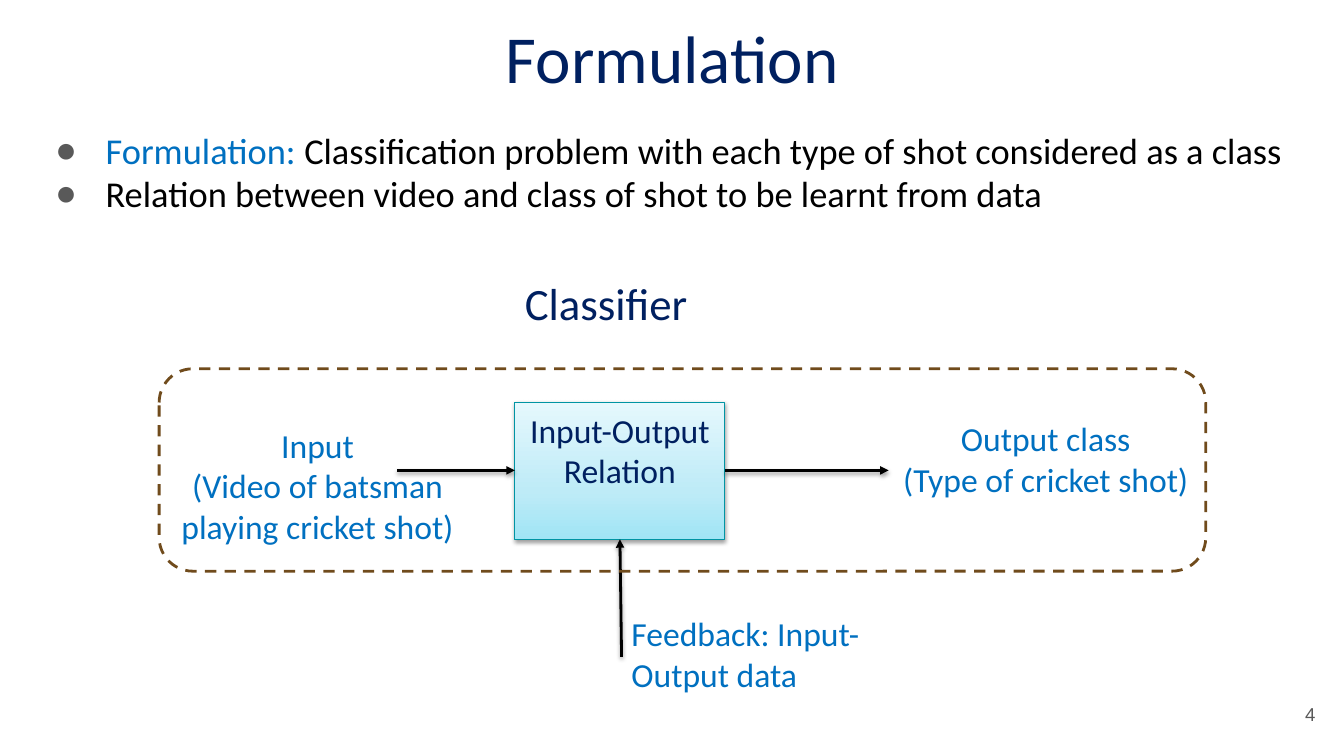
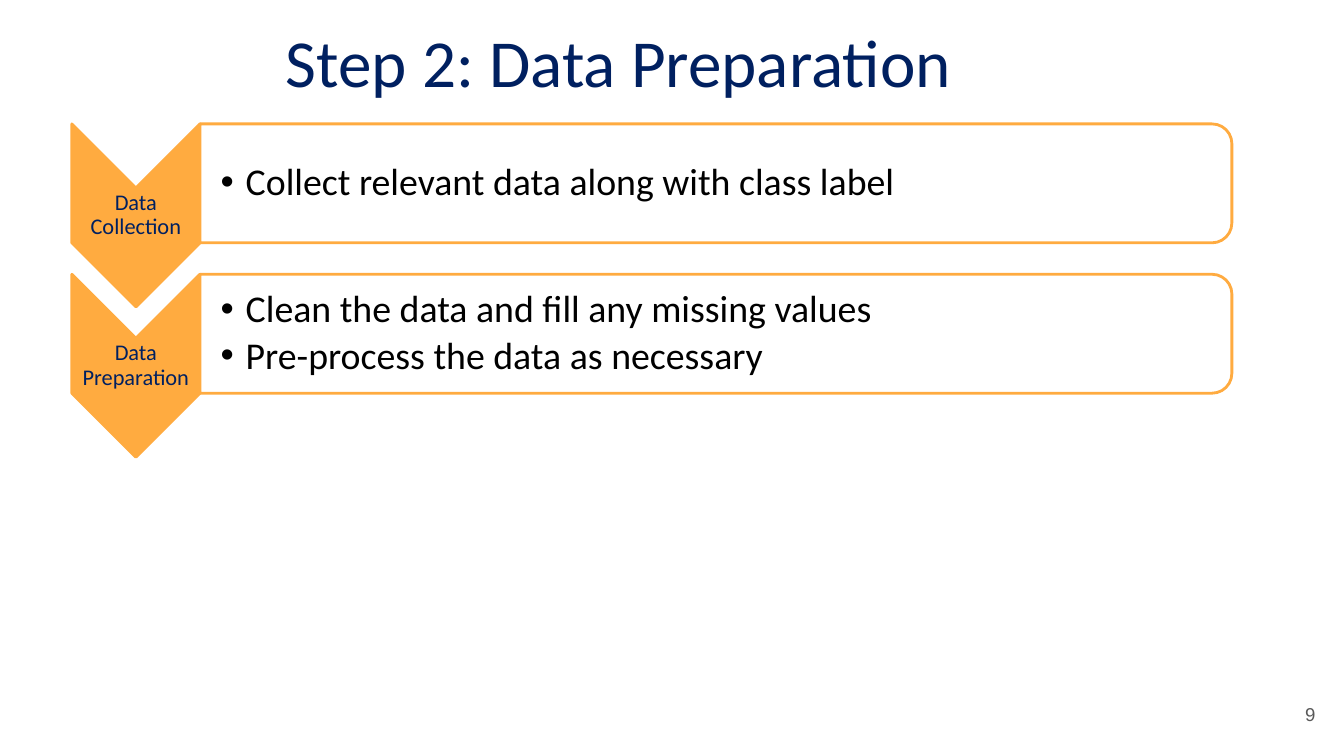
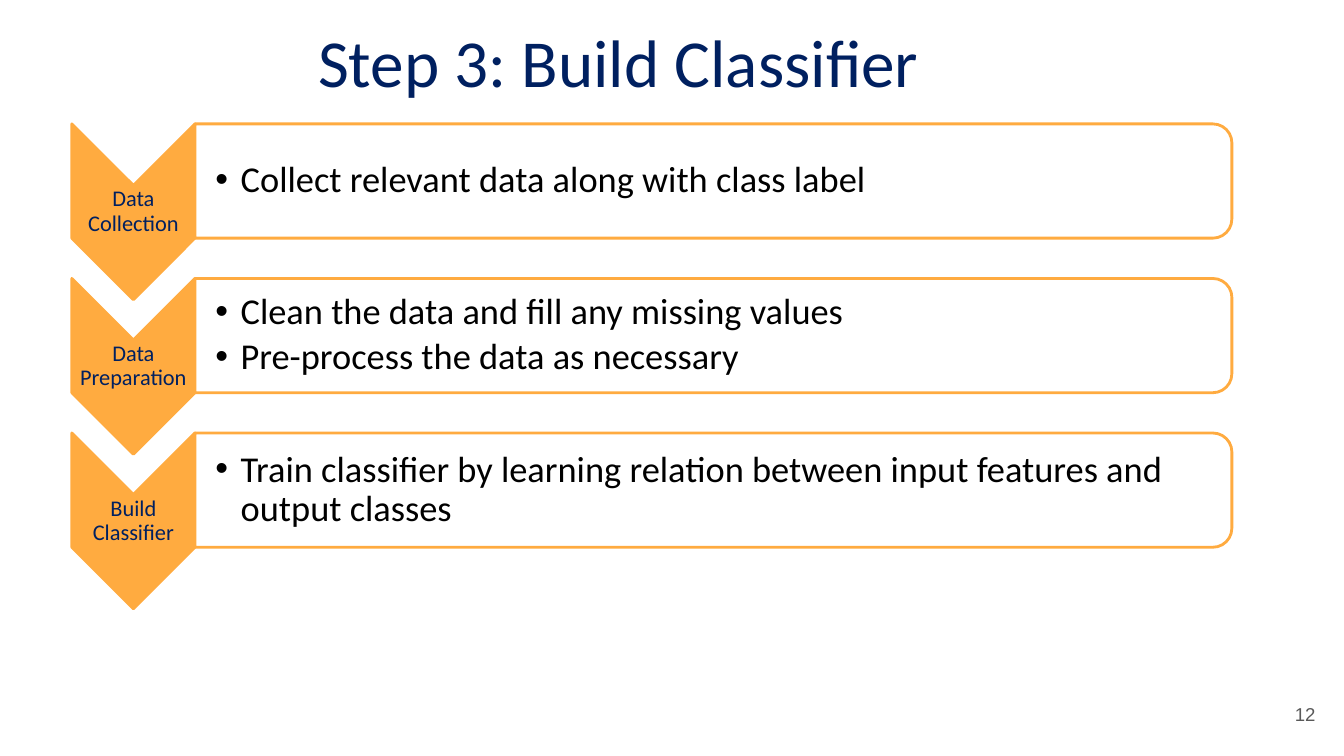
import pptx
import pptx.util
import pptx.dml.color
import pptx.enum.dml
import pptx.enum.shapes
import pptx.enum.text
import pptx.oxml
import pptx.oxml.ns
import copy
import lxml.etree

RGB = pptx.dml.color.RGBColor
SHAPE = pptx.enum.shapes.MSO_SHAPE
ALIGN = pptx.enum.text.PP_ALIGN
ANCHOR = pptx.enum.text.MSO_ANCHOR
Pt = pptx.util.Pt
qn = pptx.oxml.ns.qn

NAVY = RGB(0x00, 0x20, 0x60)
BLUE = RGB(0x00, 0x70, 0xC0)
BLACK = RGB(0x00, 0x00, 0x00)
WHITE = RGB(0xFF, 0xFF, 0xFF)
GRAY = RGB(0x59, 0x59, 0x59)
ORANGE = RGB(0xFF, 0xAB, 0x40)
BROWN = RGB(0x70, 0x4B, 0x1C)
TEAL = RGB(0x00, 0x94, 0xA3)
AQUA = RGB(0xA0, 0xE5, 0xF5)
SKY = RGB(0xBE, 0xEB, 0xF7)
PALE = RGB(0xE5, 0xF8, 0xFD)

CELL = Pt(6)
COLS, ROWS = 160, 90


def grid(*cells):
    return [pptx.util.Emu(round(cell * CELL)) for cell in cells]


def child(node, tag, **attrs):
    return lxml.etree.SubElement(node, qn(tag), attrs)


def mark(para, char, color, indent):
    props = para._p.get_or_add_pPr()
    step = grid(indent)[0]
    props.set("marL", str(step))
    props.set("indent", str(-step))
    child(child(props, "a:buClr"), "a:srgbClr", val=str(color))
    child(props, "a:buFont", typeface="Arial")
    child(props, "a:buChar", char=char)


def write(frame, text, size=24, color=BLACK, font="Calibri", align=ALIGN.LEFT,
          anchor=ANCHOR.TOP, inset=(1.2, 0.6, 1.2, 0.6), wrap=True,
          lead=None, gap=0, bullet=None, tint=BLACK, indent=0):
    frame.word_wrap = wrap
    frame.vertical_anchor = anchor
    (frame.margin_left, frame.margin_top,
     frame.margin_right, frame.margin_bottom) = grid(*inset)
    for index, line in enumerate(text):
        para = frame.add_paragraph() if index else frame.paragraphs[0]
        para.alignment = align
        if lead:
            para.line_spacing = lead
        if index and gap:
            para.space_before = Pt(gap)
        if bullet:
            mark(para, bullet, tint, indent)
        for part, shade in [(line, color)] if isinstance(line, str) else line:
            run = para.add_run()
            run.text = part
            run.font.size = Pt(size)
            run.font.name = font
            run.font.color.rgb = shade


class Deck:
    def __init__(self):
        self.file = pptx.Presentation()
        self.file.slide_width, self.file.slide_height = grid(COLS, ROWS)
        self.slide = None

    def page(self, title, number, left=19.4, top=1.8):
        self.slide = self.file.slides.add_slide(self.file.slide_layouts[6])
        self.text((148.2, 81.6, 9.6, 6.8), [number], size=13.3, color=GRAY,
                  font="Arial", align=ALIGN.RIGHT, anchor=ANCHOR.MIDDLE,
                  inset=[1.2] * 4)
        self.text((left, top, 108.5, 10.9), [title], size=48, color=NAVY,
                  align=ALIGN.CENTER)

    def text(self, box, text, **style):
        write(self.slide.shapes.add_textbox(*grid(*box)).text_frame, text, **style)

    def shape(self, kind, box, line, width=2, fill=None, turn=False):
        left, top, wide, high = box
        if turn:
            box = (left + (wide - high) / 2, top + (high - wide) / 2, high, wide)
        shape = self.slide.shapes.add_shape(kind, *grid(*box))
        shape.shadow.inherit = False
        shape.rotation = 90 if turn else 0
        shape.line.color.rgb = line
        shape.line.width = Pt(width)
        if fill is None:
            shape.fill.background()
        else:
            shape.fill.solid()
            shape.fill.fore_color.rgb = fill
        return shape

    def blend(self, shape, stops, angle):
        shape.fill.gradient()
        shape.fill.gradient_angle = angle
        nodes = shape.fill._fill._gradFill.find(qn("a:gsLst"))
        while len(nodes) < len(stops):
            nodes.append(copy.deepcopy(nodes[0]))
        for stop, (place, color) in zip(shape.fill.gradient_stops, stops):
            stop.position = place
            stop.color.rgb = color

    def shade(self, shape):
        props = shape._element.spPr
        effect = props.find(qn("a:effectLst"))
        if effect is None:
            effect = child(props, "a:effectLst")
        drop = child(effect, "a:outerShdw", blurRad=str(Pt(3.1)),
                     dist=str(Pt(1.6)), dir="5400000", rotWithShape="0")
        child(child(drop, "a:srgbClr", val=str(BLACK)), "a:alpha", val="38000")

    def arrow(self, *ends):
        line = self.slide.shapes.add_connector(
            pptx.enum.shapes.MSO_CONNECTOR.STRAIGHT, *grid(*ends))
        line.line.color.rgb = BLACK
        line.line.width = Pt(2)
        child(line.line._get_or_add_ln(), "a:tailEnd", type="triangle")
        self.shade(line)

    def steps(self, items, wide, pitch, size):
        left, top, right = 8.55, 14.75, 146.65
        tall = wide / 0.7
        high = tall * 0.65
        for index, (name, notes) in enumerate(items):
            y = top + index * pitch
            self.shape(SHAPE.CHEVRON, (left, y, wide, tall), ORANGE,
                       fill=ORANGE, turn=True)
            self.text((left, y + wide / 2, wide, tall - wide), [name], size=16,
                      color=NAVY, align=ALIGN.CENTER, anchor=ANCHOR.MIDDLE,
                      inset=[0.12] * 4, lead=0.9)
            body = (left + wide, y, right - left - wide, high)
            self.shape(SHAPE.ROUND_2_SAME_RECTANGLE, body, ORANGE,
                       fill=WHITE, turn=True)
            self.text(body, notes, size=size, anchor=ANCHOR.MIDDLE,
                      inset=(2.45, 0.2, 0.9, 0.2), lead=0.9, gap=4,
                      bullet="•", indent=3)


def main():
    deck = Deck()

    deck.page("Formulation", "4", left=25.8, top=1.3)
    deck.text((5.4, 14, 148.6, 19.8), [
        [("Formulation: ", BLUE),
         ("Classification problem with each type of shot considered as a class", BLACK)],
        "Relation between video and class of shot to be learnt from data",
    ], size=26, inset=[1.2] * 4, bullet="●", tint=GRAY, indent=6)
    deck.text((19, 50, 37.6, 15.7),
              ["Input", "(Video of batsman playing cricket shot)"],
              color=BLUE, align=ALIGN.CENTER)
    deck.text((106, 49.2, 37, 10.9), ["Output class", "(Type of cricket shot)"],
              color=BLUE, align=ALIGN.CENTER, wrap=False)
    deck.text((61.3, 32.2, 22, 7.7), ["Classifier"], size=32, color=NAVY, wrap=False)
    model = deck.shape(SHAPE.RECTANGLE, (61.3, 47.9, 25, 16.3), TEAL, width=0.75)
    deck.blend(model, [(0, AQUA), (0.35, SKY), (1, PALE)], 90)
    deck.shade(model)
    write(model.text_frame, ["Input-Output Relation"], color=NAVY,
          align=ALIGN.CENTER, inset=(1.2, 0.85, 1.2, 0.6))
    deck.arrow(47.3, 56, 61.3, 56)
    deck.arrow(86.3, 56, 105.8, 56)
    deck.arrow(74, 78.2, 73.8, 64.2)
    deck.text((74, 72.4, 31.2, 10.9), ["Feedback: Input-Output data"], color=BLUE)
    frame = deck.shape(SHAPE.ROUNDED_RECTANGLE, (18.95, 43.9, 124.6, 24.1), BROWN)
    frame.line.dash_style = pptx.enum.dml.MSO_LINE.DASH

    items = [
        ("Data Collection", ["Collect relevant data along with class label"]),
        ("Data Preparation", ["Clean the data and fill any missing values",
                              "Pre-process the data as necessary"]),
        ("Build Classifier", ["Train classifier by learning relation between "
                              "input features and output classes"]),
    ]
    deck.page("Step 2: Data Preparation", "9")
    deck.steps(items[:2], wide=15.25, pitch=17.9, size=27)

    deck.page("Step 3: Build Classifier", "12")
    deck.steps(items, wide=14.65, pitch=18.4, size=26)

    deck.file.save("out.pptx")


if __name__ == "__main__":
    main()
